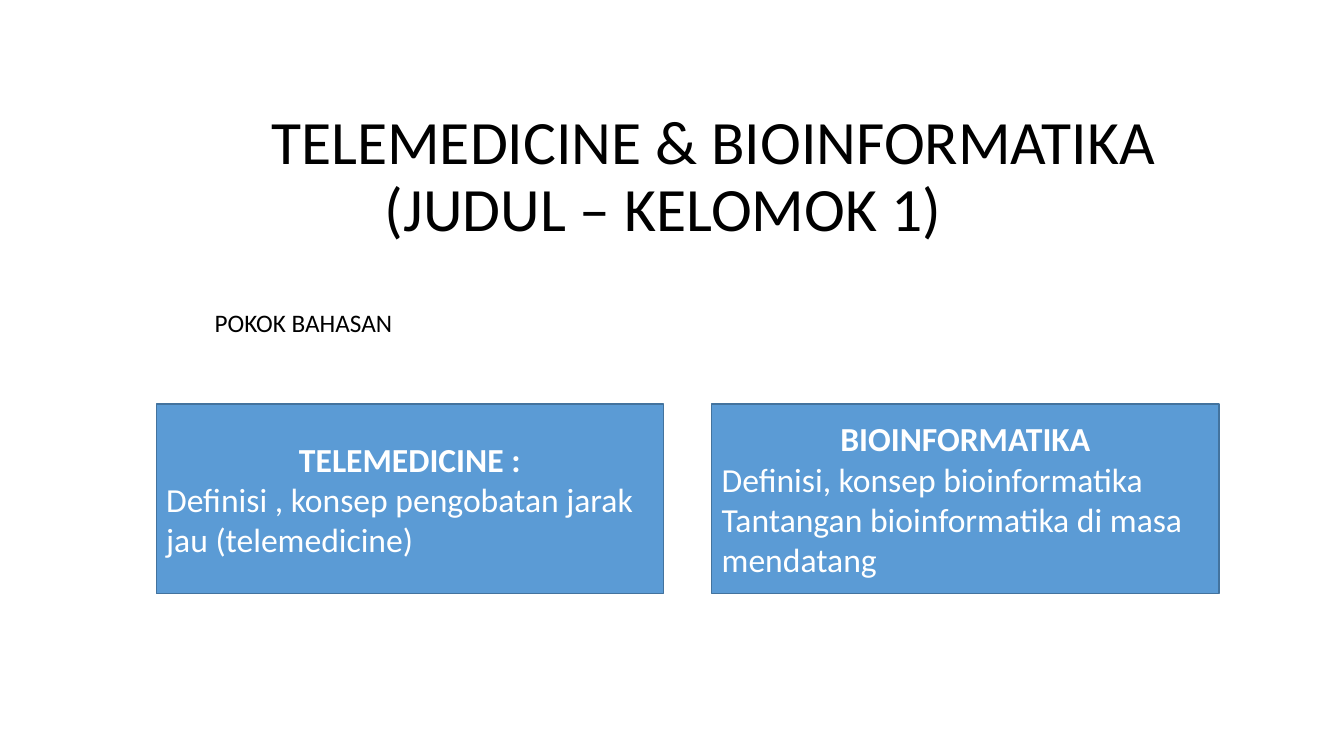
from pptx import Presentation
from pptx.dml.color import RGBColor
from pptx.enum.shapes import MSO_SHAPE
from pptx.enum.text import MSO_ANCHOR, MSO_AUTO_SIZE, PP_ALIGN
from pptx.util import Inches, Pt

FONT = "Calibri"
BLACK, WHITE, BLUE, BLUE_EDGE = "000000", "FFFFFF", "5B9BD5", "43739E"

CARD_LEFT, CARD_TOP, CARD_WIDTH, CARD_HEIGHT, CARD_GAP = 1.55, 4.01, 5.03, 1.88, 0.48
CARDS = [
    ("TELEMEDICINE :", ["Definisi , konsep pengobatan jarak jau (telemedicine)"]),
    ("BIOINFORMATIKA", ["Definisi, konsep bioinformatika",
                        "Tantangan bioinformatika di masa mendatang"]),
]


def color(hex_text):
    """Turn a hex string into a colour."""
    return RGBColor.from_string(hex_text)


def write(paragraph, text, size, font_color, bold=False, align=PP_ALIGN.LEFT):
    """Fill and format one paragraph."""
    paragraph.text = text
    paragraph.alignment = align
    for run in paragraph.runs:
        font = run.font
        font.name, font.size, font.bold = FONT, Pt(size), bold
        font.color.rgb = color(font_color)


def add_title(slide, left, top, width, height):
    """Place the two-line title, its first line led by a one-inch tab."""
    title = slide.shapes.title
    title.left, title.top = Inches(left), Inches(top)
    title.width, title.height = Inches(width), Inches(height)
    frame = title.text_frame
    frame.auto_size = MSO_AUTO_SIZE.NONE
    frame.vertical_anchor = MSO_ANCHOR.MIDDLE
    paragraph = frame.paragraphs[0]
    write(paragraph, "\tTELEMEDICINE & BIOINFORMATIKA\v(JUDUL – KELOMOK 1)",
          44, BLACK, align=PP_ALIGN.CENTER)
    paragraph.line_spacing = 0.9
    paragraph._p.get_or_add_pPr().set("defTabSz", str(Inches(1)))


def add_topic_label(slide, left, top, width, height):
    """Place the label above the cards."""
    label = slide.shapes.add_textbox(
        Inches(left), Inches(top), Inches(width), Inches(height))
    frame = label.text_frame
    frame.word_wrap = True
    frame.auto_size = MSO_AUTO_SIZE.SHAPE_TO_FIT_TEXT
    write(frame.paragraphs[0], "POKOK BAHASAN", 18, BLACK)


def add_card(slide, left, top, width, height, heading, topics):
    """Place one blue card with a bold heading and its topics."""
    card = slide.shapes.add_shape(
        MSO_SHAPE.RECTANGLE, Inches(left), Inches(top), Inches(width), Inches(height))
    card.shadow.inherit = False
    card.fill.solid()
    card.fill.fore_color.rgb = color(BLUE)
    card.line.color.rgb = color(BLUE_EDGE)
    card.line.width = Pt(1)
    frame = card.text_frame
    frame.word_wrap = True
    frame.vertical_anchor = MSO_ANCHOR.MIDDLE
    write(frame.paragraphs[0], heading, 24, WHITE, bold=True, align=PP_ALIGN.CENTER)
    for topic in topics:
        write(frame.add_paragraph(), topic, 24, WHITE)


def build():
    """Build the slide and save it."""
    deck = Presentation()
    deck.slide_width, deck.slide_height = Inches(13.33), Inches(7.5)
    slide = deck.slides.add_slide(deck.slide_layouts.get_by_name("Title Only"))
    add_title(slide, 1.33, 1.05, 10.5, 1.43)
    for index, (heading, topics) in enumerate(CARDS):
        left = CARD_LEFT + index * (CARD_WIDTH + CARD_GAP)
        add_card(slide, left, CARD_TOP, CARD_WIDTH, CARD_HEIGHT, heading, topics)
    add_topic_label(slide, 2.03, 3, 2.49, 0.4)
    deck.save("out.pptx")


build()
